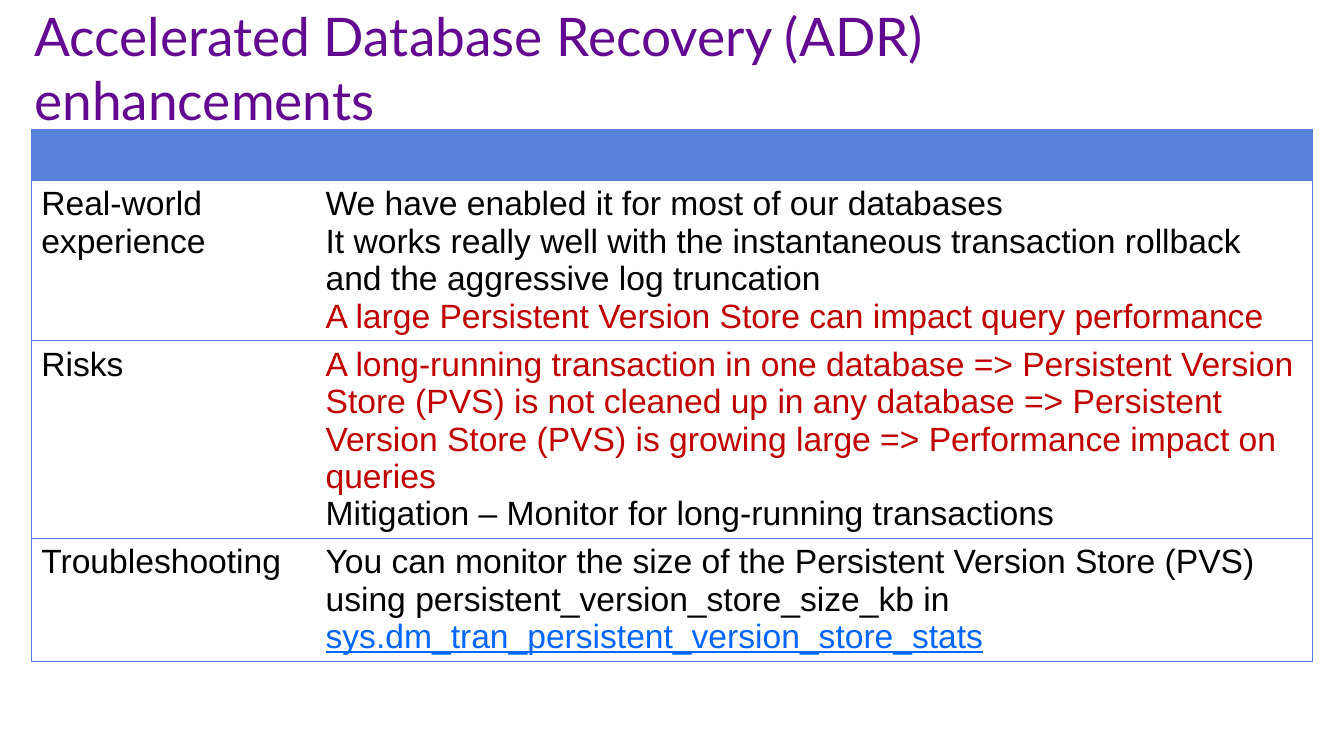
import pptx
import pptx.dml.color
import pptx.enum.text
import pptx.oxml
import pptx.oxml.ns
import pptx.util
from pptx.util import Inches

PURPLE = pptx.dml.color.RGBColor(0x63, 0x09, 0x91)
BLUE = pptx.dml.color.RGBColor(0x59, 0x82, 0xDB)
BORDER = pptx.dml.color.RGBColor(0x54, 0x7E, 0xD9)
BLACK = pptx.dml.color.RGBColor(0x00, 0x00, 0x00)
RED = pptx.dml.color.RGBColor(0xC0, 0x00, 0x00)
LINK = pptx.dml.color.RGBColor(0x00, 0x66, 0xFF)
WHITE = pptx.dml.color.RGBColor(0xFF, 0xFF, 0xFF)

COLUMN_WIDTHS = [2.82, 9.89]
ROW_HEIGHTS = [0.51, 1.59, 1.96, 1.22]

# Each cell is a list of paragraphs, each paragraph a list of (text, colour) runs.
ROWS = [
    [[], []],
    [
        [[("Real-world experience", BLACK)]],
        [
            [("We have enabled it for most of our databases", BLACK)],
            [("It works really well with the instantaneous transaction rollback "
              "and the aggressive log truncation", BLACK)],
            [("A large Persistent Version Store can impact query performance", RED)],
        ],
    ],
    [
        [[("Risks", BLACK)]],
        [
            [("A long-running transaction in one database => Persistent Version Store "
              "(PVS) is not cleaned up in any database => Persistent Version Store (PVS) "
              "is growing large => Performance impact on queries", RED)],
            [("Mitigation – Monitor for long-running transactions", BLACK)],
        ],
    ],
    [
        [[("Troubleshooting", BLACK)]],
        [[("You can monitor the size of the Persistent Version Store (PVS) using "
           "persistent_version_store_size_kb in ", BLACK),
          ("sys.dm_tran_persistent_version_store_stats", LINK)]],
    ],
]


class SlideBuilder:
    title_font = "Lato"
    title_size = pptx.util.Pt(38)
    body_font = "Arial"
    body_size = pptx.util.Pt(24)
    border_width = pptx.util.Pt(0.75)

    def __init__(self, presentation):
        self.slide = presentation.slides.add_slide(presentation.slide_layouts[5])

    def title(self, text, left, top, width, height):
        shape = self.slide.shapes.title
        shape.left, shape.top = Inches(left), Inches(top)
        shape.width, shape.height = Inches(width), Inches(height)
        frame = shape.text_frame
        frame.text = text
        frame.word_wrap = True
        frame.auto_size = pptx.enum.text.MSO_AUTO_SIZE.NONE
        frame.vertical_anchor = pptx.enum.text.MSO_ANCHOR.MIDDLE
        paragraph = frame.paragraphs[0]
        paragraph.alignment = pptx.enum.text.PP_ALIGN.LEFT
        paragraph.font.name = self.title_font
        paragraph.font.size = self.title_size
        paragraph.font.color.rgb = PURPLE

    def table(self, rows, left, top, column_widths, row_heights):
        table = self.slide.shapes.add_table(
            len(rows), len(column_widths), Inches(left), Inches(top),
            Inches(sum(column_widths)), Inches(sum(row_heights))).table
        table.first_row = table.horz_banding = False
        for column, width in zip(table.columns, column_widths):
            column.width = Inches(width)
        for row, height in zip(table.rows, row_heights):
            row.height = Inches(height)
        last_column = len(column_widths) - 1
        for row_index, row in enumerate(rows):
            for column_index, paragraphs in enumerate(row):
                cell = table.cell(row_index, column_index)
                cell.fill.solid()
                cell.fill.fore_color.rgb = WHITE if row_index else BLUE
                self.cell_text(cell, paragraphs)
                self.cell_borders(cell, column_index == 0, column_index == last_column)

    def cell_text(self, cell, paragraphs):
        frame = cell.text_frame
        for index, runs in enumerate(paragraphs):
            paragraph = frame.add_paragraph() if index else frame.paragraphs[0]
            paragraph.font.name = self.body_font
            paragraph.font.size = self.body_size
            for text, color in runs:
                run = paragraph.add_run()
                run.text = text
                run.font.color.rgb = color
                if color == LINK:
                    run.font.underline = True

    def cell_borders(self, cell, is_first, is_last):
        """Rule the cell above and below, and at the outer sides of the table."""
        properties = cell._tc.get_or_add_tcPr()
        sides = [("lnL", is_first), ("lnR", is_last), ("lnT", True), ("lnB", True)]
        for position, (tag, is_drawn) in enumerate(sides):
            fill = (f'<a:solidFill><a:srgbClr val="{BORDER}"/></a:solidFill>'
                    if is_drawn else "<a:noFill/>")
            line = pptx.oxml.parse_xml(
                f'<a:{tag} {pptx.oxml.ns.nsdecls("a")} w="{self.border_width}">'
                f'{fill}</a:{tag}>')
            properties.insert(position, line)


def main():
    presentation = pptx.Presentation()
    presentation.slide_width = Inches(13.33)
    presentation.slide_height = Inches(7.5)
    builder = SlideBuilder(presentation)
    builder.title("Accelerated Database Recovery (ADR) enhancements", 0.24, 0.04, 12.04, 1.25)
    builder.table(ROWS, 0.31, 1.28, COLUMN_WIDTHS, ROW_HEIGHTS)
    presentation.save("out.pptx")


if __name__ == "__main__":
    main()
